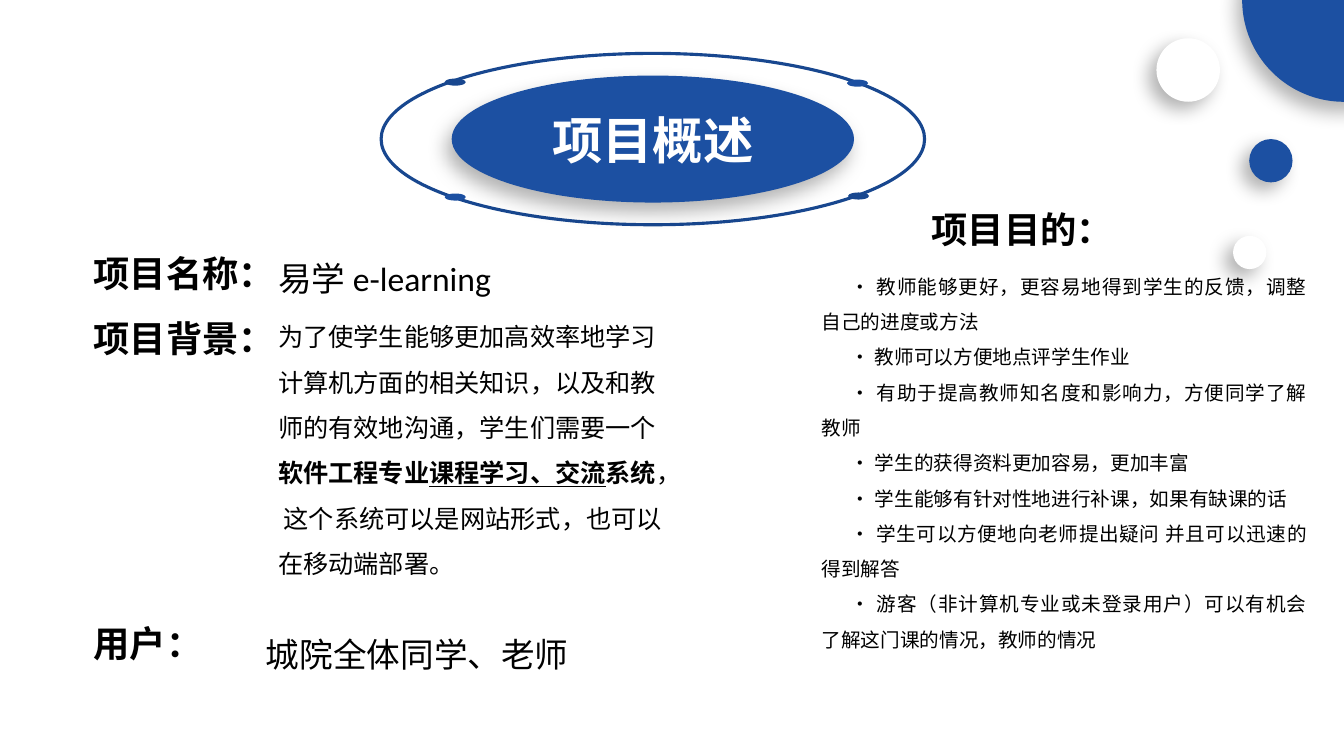
from pptx import Presentation
from pptx.dml.color import RGBColor
from pptx.enum.shapes import MSO_SHAPE
from pptx.enum.text import MSO_ANCHOR as Anchor, PP_ALIGN as Align
from pptx.oxml import parse_xml
from pptx.oxml.ns import nsdecls
from pptx.util import Inches, Pt

COLORS = {"blue": "1C50A2", "navy": "18478F", "white": "FFFFFF", "black": "000000"}
HEADING = {"name": "Calibri", "size": Pt(25.9), "bold": True}
VALUE = {"name": "Calibri", "size": Pt(24)}
BODY = {"name": "Calibri", "size": Pt(18)}
GOAL = {"name": "Times New Roman", "size": Pt(14)}
TITLE = {"name": "Arial", "size": Pt(36), "bold": True}


def set_all(target, values):
    for key, value in values.items():
        setattr(target, key, value)


class Deck:
    def __init__(self, slide):
        self.slide = slide

    def rgb(self, color):
        return RGBColor.from_string(COLORS[color])

    def place(self, shape, box):
        left, top, width, height = map(Inches, box)
        set_all(shape, {"left": left, "top": top, "width": width, "height": height})

    def ellipse(self, box, fill=None, line=None, shadow=None):
        oval = self.slide.shapes.add_shape(MSO_SHAPE.OVAL, *map(Inches, box))
        oval.shadow.inherit = False
        if fill:
            oval.fill.solid()
            oval.fill.fore_color.rgb = self.rgb(fill)
        else:
            oval.fill.background()
        if line:
            oval.line.color.rgb = self.rgb(line)
            oval.line.width = Pt(2.25)
        else:
            oval.line.fill.background()
        if shadow:
            self.cast_shadow(oval, *shadow)

    def cast_shadow(self, oval, blur, angle):
        effects = oval.element.spPr.find("{*}effectLst")
        effects.append(parse_xml(
            f'<a:outerShdw {nsdecls("a")} blurRad="{Pt(blur)}" dist="{Pt(8)}" '
            f'dir="{angle * 60000}" algn="ctr" rotWithShape="0">'
            f'<a:srgbClr val="{COLORS["black"]}"><a:alpha val="30000"/></a:srgbClr>'
            '</a:outerShdw>'))

    def add_runs(self, paragraph, pieces, font, color="black"):
        for words, extra in pieces:
            run = paragraph.add_run()
            run.text = words
            set_all(run.font, {**font, **extra})
            run.font.color.rgb = self.rgb(color)

    def text(self, box, paragraphs, font, spacing=1.5, wrap=True,
             anchor=Anchor.TOP, align=Align.LEFT, indent=0):
        frame = self.slide.shapes.add_textbox(*map(Inches, box)).text_frame
        set_all(frame, {"word_wrap": wrap, "vertical_anchor": anchor})
        for number, pieces in enumerate(paragraphs):
            paragraph = frame.add_paragraph() if number else frame.paragraphs[0]
            set_all(paragraph, {"alignment": align, "line_spacing": spacing})
            if indent:
                properties = paragraph._p.get_or_add_pPr()
                properties.set("marL", "0")
                properties.set("indent", str(Inches(indent)))
            self.add_runs(paragraph, pieces, font)

    def heading(self, left, top, words):
        self.text((left, top, 1.83, 0.48), [[(words, {})]], HEADING,
                  spacing=0.8, wrap=False, anchor=Anchor.MIDDLE)

    def title(self, box, words):
        title = self.slide.shapes.title
        self.place(title, box)
        set_all(title.text_frame, {"vertical_anchor": Anchor.MIDDLE, "word_wrap": True})
        paragraph = title.text_frame.paragraphs[0]
        paragraph.alignment = Align.CENTER
        self.add_runs(paragraph, [(words, {})], TITLE, "white")
        self.slide.shapes._spTree.append(title.element)


prs = Presentation()
set_all(prs, {"slide_width": Inches(13.33), "slide_height": Inches(7.5)})
deck = Deck(prs.slides.add_slide(prs.slide_layouts[5]))

badge = (4.48, 0.75, 3.99, 1.26)
deck.ellipse((3.78, 0.53, 5.39, 1.7), line="navy")
for left, top, color in [(4.41, 0.78, "navy"), (8.41, 1.91, "navy"),
                         (4.41, 1.92, "blue"), (8.4, 0.79, "blue")]:
    deck.ellipse((left, top, 0.21, 0.07), fill=color)
deck.ellipse(badge, fill="blue", shadow=(14, 120))
deck.title(badge, "项目概述")

for left, top, size, color, shadow in [(12.32, -1.01, 2.02, "blue", (14, 120)),
                                       (11.47, 0.38, 0.63, "white", (13, 135)),
                                       (12.23, 2.34, 0.33, "white", (13, 135)),
                                       (12.39, 1.38, 0.43, "blue", (13, 135))]:
    deck.ellipse((left, top, size, size), fill=color, shadow=shadow)

for left, top, words in [(0.83, 2.51, "项目名称："), (0.83, 3.15, "项目背景："),
                         (0.83, 6.18, "用户："), (9.14, 2.07, "项目目的：")]:
    deck.heading(left, top, words)

deck.text((2.66, 2.31, 2.49, 0.6), [[("易学 e-learning", {})]], VALUE)
deck.text((2.54, 6.04, 3.27, 0.6), [[("城院全体同学、老师", {})]], VALUE)

background = [
    ("为了使学生能够更加高效率地学习计算机方面的相关知识，以及和教师的有效地沟通，学生们需要一个", {}),
    ("软件工程专业", {"bold": True}),
    ("课程学习、交流", {"bold": True, "underline": True}),
    ("系统", {"bold": True}),
    ("， 这个系统可以是网站形式，也可以在移动端部署。", {}),
]
deck.text((2.66, 2.99, 4.01, 3.35), [background], BODY)

goals = [
    "教师能够更好，更容易地得到学生的反馈，调整自己的进度或方法",
    "教师可以方便地点评学生作业",
    "有助于提高教师知名度和影响力，方便同学了解教师",
    "学生的获得资料更加容易，更加丰富",
    "学生能够有针对性地进行补课，如果有缺课的话",
    "学生可以方便地向老师提出疑问 并且可以迅速的得到解答",
    "游客（非计算机专业或未登录用户）可以有机会了解这门课的情况，教师的情况",
]
deck.text((8.05, 2.56, 5.01, 4.42), [[(f"• {goal}", {})] for goal in goals], GOAL,
          align=Align.JUSTIFY, indent=0.29)

prs.save("out.pptx")
